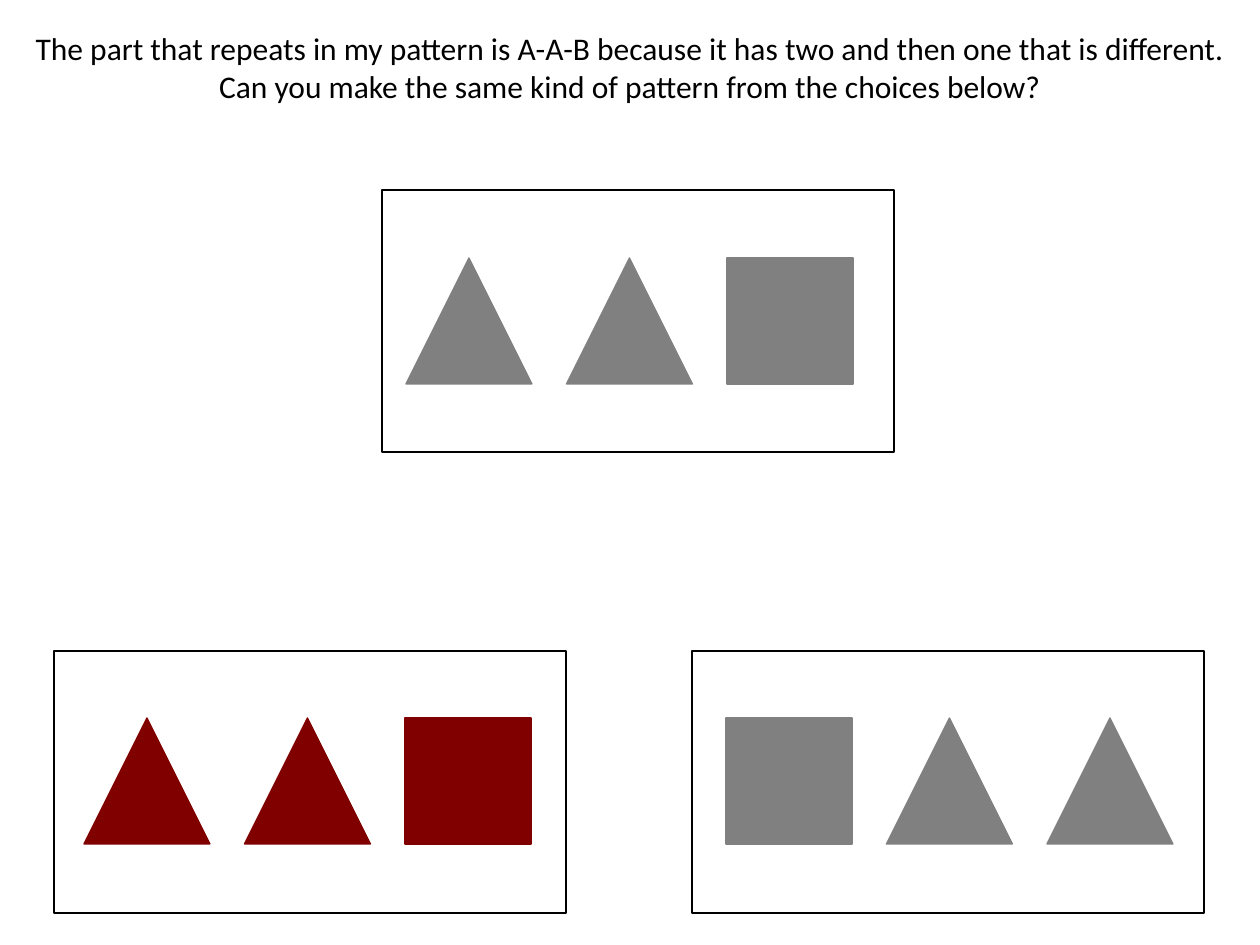
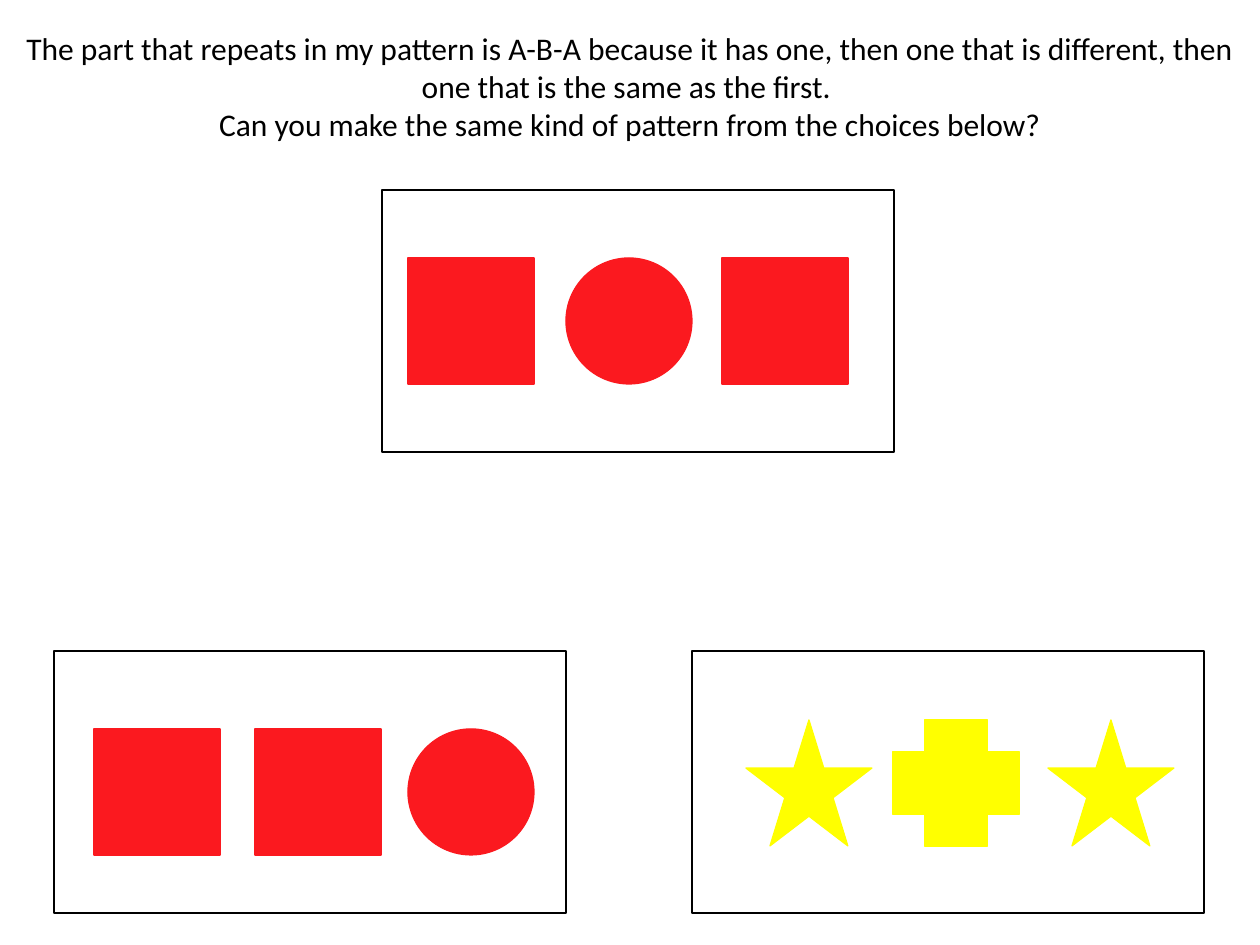
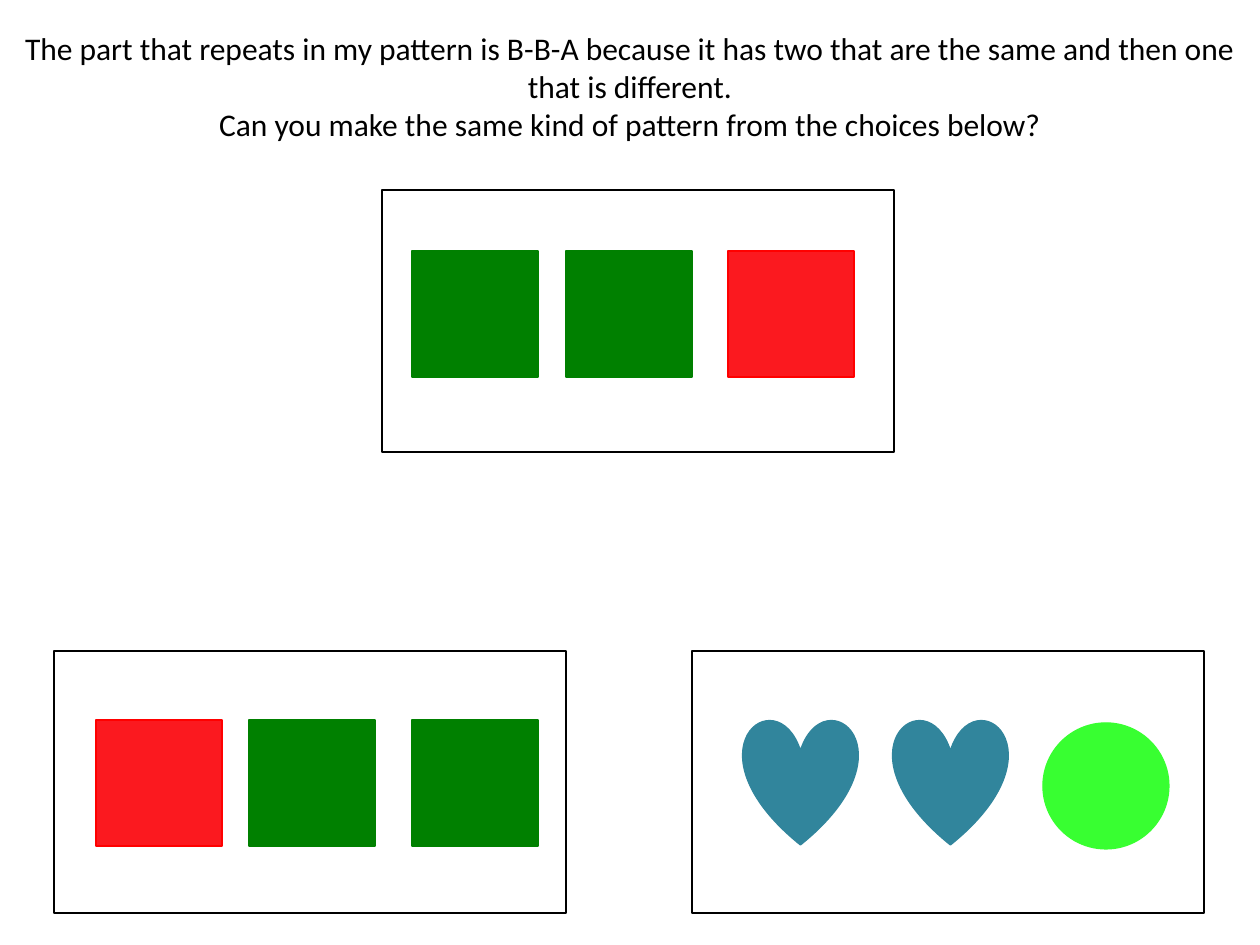
import pptx
import pptx.util
import pptx.dml.color
import pptx.enum.shapes
import pptx.enum.text

SCALE = 914400 // 126
FONT = "Calibri"
BLACK, GRAY, MAROON = "000000", "808080", "800000"
RED, BRIGHT_RED, YELLOW = "FB191F", "FF0000", "FFFF00"
GREEN, TEAL, LIME = "008000", "31859C", "38FF31"

KIND = pptx.enum.shapes.MSO_SHAPE
TRIANGLE, SQUARE, CIRCLE = KIND.ISOSCELES_TRIANGLE, KIND.RECTANGLE, KIND.OVAL
STAR, PLUS, HEART = KIND.STAR_5_POINT, KIND.CROSS, KIND.HEART

CARD_SIZE = (512, 262)
MODEL_CARD, LEFT_CARD, RIGHT_CARD = (382, 190), (54, 651), (692, 651)
FIGURE_SIZE, HEART_WIDTH = 126, 115
QUESTION = "Can you make the same kind of pattern from the choices below?"


def px(length):
    return pptx.util.Emu(round(length * SCALE))


def color(hex_code):
    return pptx.dml.color.RGBColor.from_string(hex_code)


def add_figure(slide, kind, box, outline, fill=None):
    figure = slide.shapes.add_shape(kind, *map(px, box))
    figure.shadow.inherit = False
    if fill:
        figure.fill.solid()
        figure.fill.fore_color.rgb = color(fill)
    else:
        figure.fill.background()
    figure.line.color.rgb = color(outline)
    figure.line.width = pptx.util.Pt(0.75)


def add_prompt(slide, explanation, height):
    prompt = slide.shapes.title
    prompt.left, prompt.top, prompt.width, prompt.height = map(px, (0, 23, 1260, height))
    frame = prompt.text_frame
    frame.word_wrap = True
    frame.auto_size = pptx.enum.text.MSO_AUTO_SIZE.NONE
    frame.vertical_anchor = pptx.enum.text.MSO_ANCHOR.TOP
    frame.text = explanation + "\n" + QUESTION
    for sentence in frame.paragraphs:
        sentence.alignment = pptx.enum.text.PP_ALIGN.CENTER
        sentence.font.name = FONT
        sentence.font.size = pptx.util.Pt(18)
        sentence.font.color.rgb = color(BLACK)


def add_card(slide, corner, figures):
    left, top = corner
    add_figure(slide, SQUARE, (left, top, *CARD_SIZE), BLACK)
    for kind, fill, x, y in figures:
        width = HEART_WIDTH if kind == HEART else FIGURE_SIZE
        outline = BRIGHT_RED if (kind, fill, y) in RIMMED else fill
        add_figure(slide, kind, (left + x, top + y, width, FIGURE_SIZE), outline, fill)


def row(kinds, fills, start, steps, top):
    lefts = [start, start + steps[0], start + sum(steps)]
    return [(kind, fill, x, top) for kind, fill, x in zip(kinds, fills, lefts)]


RIMMED = {(SQUARE, RED, 61), (SQUARE, RED, 69)}
EVEN = (160.5, 160.5)
AAB = (TRIANGLE, TRIANGLE, SQUARE)

PATTERNS = [
    ("The part that repeats in my pattern is A-A-B because it has two and then one "
     "that is different.", 89,
     row(AAB, [GRAY] * 3, 24, EVEN, 68),
     row(AAB, [MAROON] * 3, 30, EVEN, 67),
     row(AAB[::-1], [GRAY] * 3, 34, EVEN, 67)),
    ("The part that repeats in my pattern is A-B-A because it has one, then one "
     "that is different, then one that is the same as the first. ", 127,
     row((SQUARE, CIRCLE, SQUARE), [RED] * 3, 26, (158, 156), 68),
     row((SQUARE, SQUARE, CIRCLE), [RED] * 3, 40, (161, 153), 78),
     row((STAR, PLUS, STAR), [YELLOW] * 3, 54, (147, 155), 69)),
    ("The part that repeats in my pattern is B-B-A because it has two that are the "
     "same and then one that is different.", 127,
     row([SQUARE] * 3, (GREEN, GREEN, RED), 30, (154, 162), 61),
     row([SQUARE] * 3, (RED, GREEN, GREEN), 42, (153, 163), 69),
     row((HEART, HEART), (TEAL, TEAL), 51, (150, 150), 68) + [(CIRCLE, LIME, 351, 72)]),
]

deck = pptx.Presentation()
deck.slide_width, deck.slide_height = px(1260), px(945)
for explanation, prompt_height, model, first_choice, second_choice in PATTERNS:
    slide = deck.slides.add_slide(deck.slide_layouts[5])
    add_prompt(slide, explanation, prompt_height)
    add_card(slide, MODEL_CARD, model)
    add_card(slide, LEFT_CARD, first_choice)
    add_card(slide, RIGHT_CARD, second_choice)
deck.save("out.pptx")
